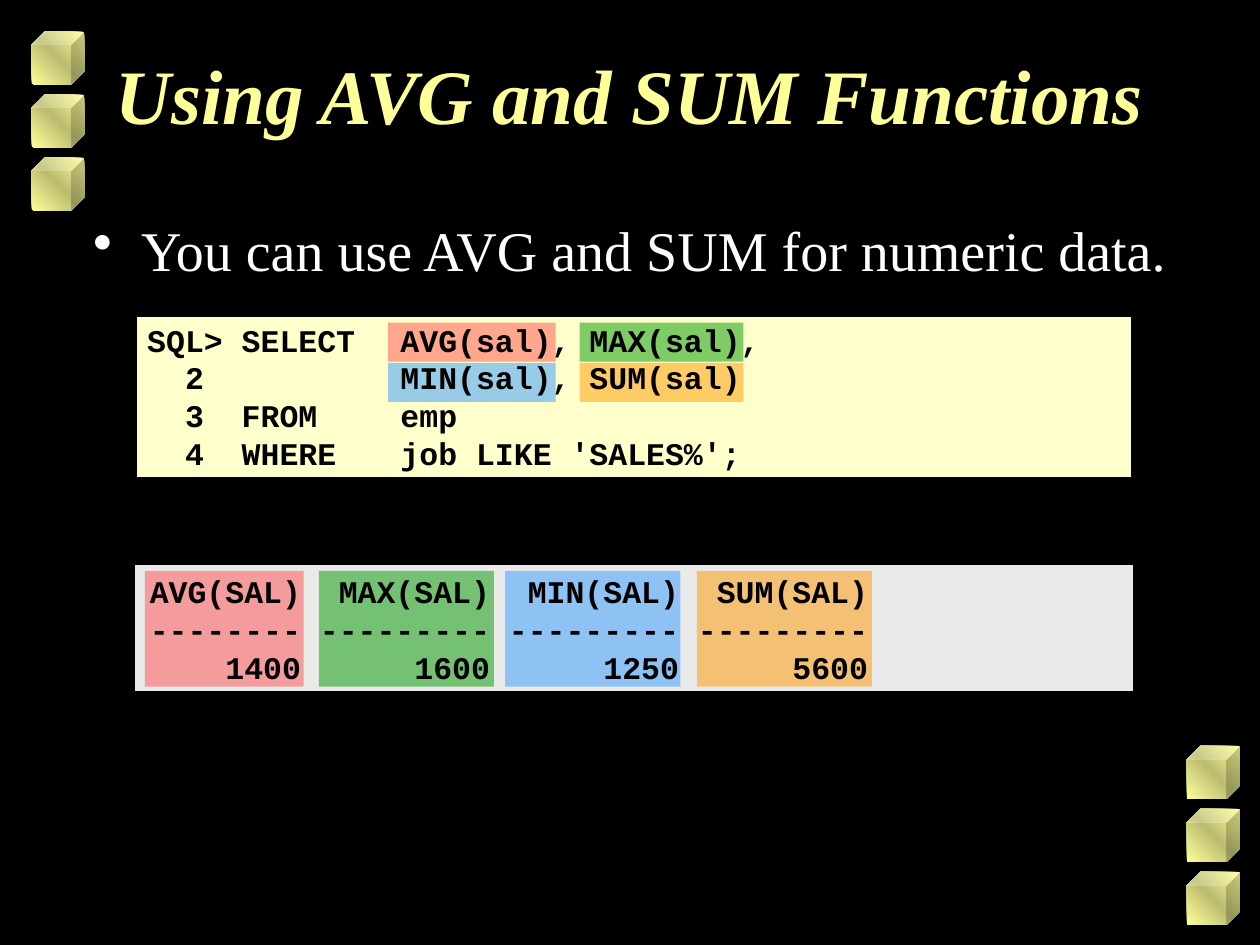
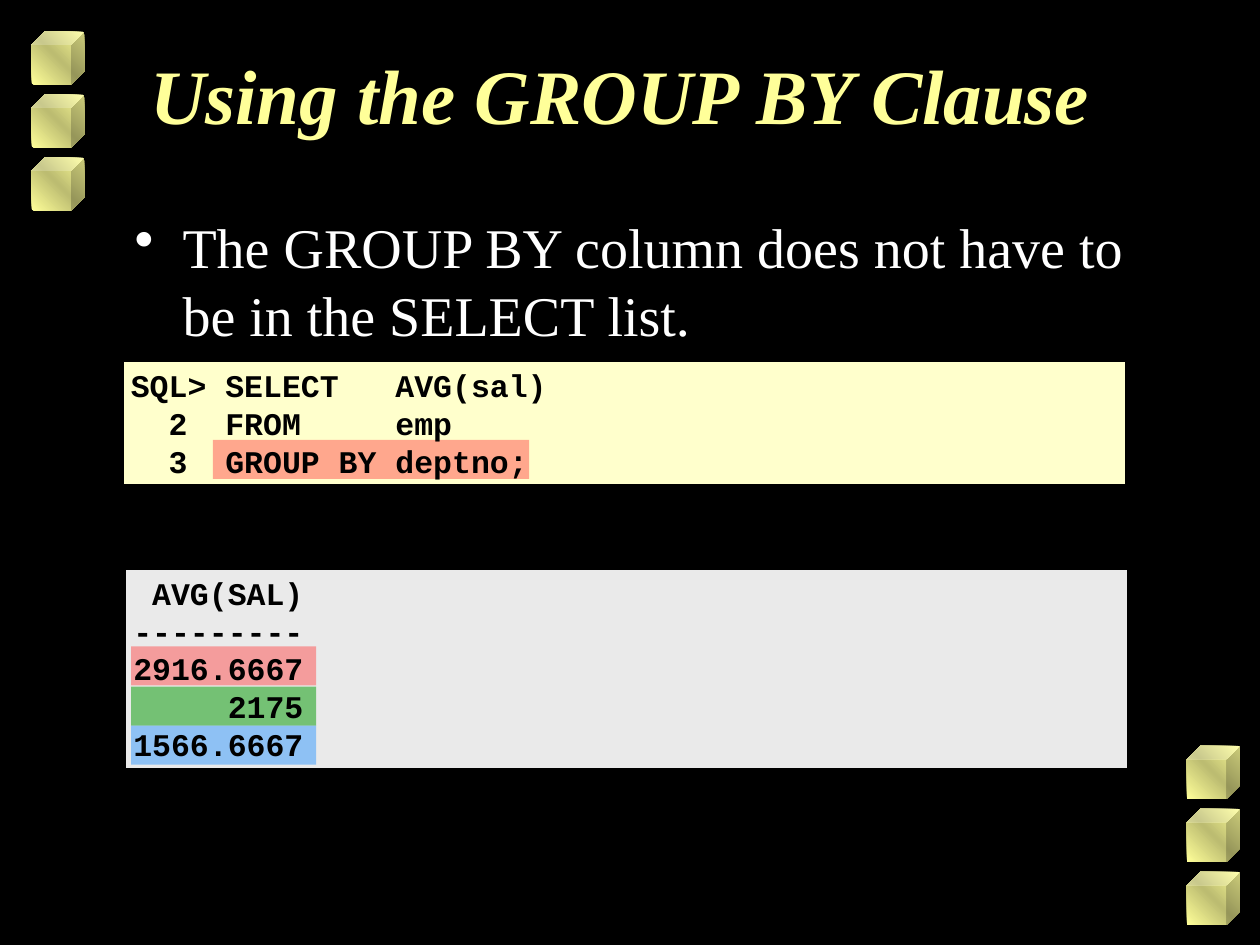
from lxml import etree
from pptx import Presentation
from pptx.dml.color import RGBColor
from pptx.enum.shapes import MSO_SHAPE as SHAPE
from pptx.enum.text import MSO_ANCHOR as ANCHOR, PP_ALIGN as ALIGN
from pptx.oxml import parse_xml
from pptx.oxml.ns import nsdecls, qn
from pptx.util import Inches, Pt

BLACK, WHITE, YELLOW, OLIVE = "000000", "FFFFFF", "FFFF99", "BCBC71"
CREAM, GREY = "FFFFCC", "EAEAEA"
RED, GREEN, BLUE, ORANGE = "FF5050", "009900", "3399FF", "FF9900"
SERIF, MONO = "Times New Roman", "Courier New"

CUBE, CUBE_STEP = 0.42, 0.5
CUBE_STACKS = [(0.25, 0.25), (9.42, 5.92)]
TITLE_BOX = (0.75, 0.33, 8.5, 1.25)
ROW_H = 0.31
RESULT_H = 0.92

SLIDES = [
    {
        "title": "Using AVG and SUM Functions",
        "bullet": "You can use AVG and SUM for numeric data.",
        "bullet_box": (0, 1.66, 10, 0.63),
        "bullet_align": ALIGN.CENTER,
        "panels": [(GREY, (1.06, 4.47, 7.95, 1.03)), (CREAM, (1.07, 2.5, 7.92, 1.3))],
        "highlights": [
            (RED, (3.08, 2.56, 1.33, ROW_H)), (RED, (1.15, 4.53, 1.26, RESULT_H)),
            (GREEN, (4.6, 2.56, 1.3, ROW_H)), (GREEN, (2.53, 4.53, 1.39, RESULT_H)),
            (BLUE, (3.08, 2.88, 1.33, ROW_H)), (BLUE, (4.01, 4.53, 1.39, RESULT_H)),
            (ORANGE, (4.6, 2.88, 1.3, ROW_H)), (ORANGE, (5.53, 4.53, 1.39, RESULT_H)),
        ],
        "listings": [
            ((1.09, 4.49, 7.92, 1), ANCHOR.TOP, [
                "AVG(SAL)  MAX(SAL)  MIN(SAL)  SUM(SAL)",
                "-------- --------- --------- ---------",
                "    1400      1600      1250      5600"]),
            ((1.07, 2.48, 7.95, 1.33), ANCHOR.MIDDLE, [
                "SQL> SELECT\tAVG(sal), MAX(sal),",
                "  2\t\tMIN(sal), SUM(sal)",
                "  3\tFROM\temp",
                "  4\tWHERE\tjob LIKE 'SALES%';"]),
        ],
    },
    {
        "title": "Using the GROUP BY Clause ",
        "bullet": "The GROUP BY column does not have to be in the SELECT list.",
        "bullet_box": (0.97, 1.64, 8.29, 1.17),
        "bullet_align": ALIGN.LEFT,
        "panels": [(CREAM, (0.97, 2.86, 7.97, 1)), (GREY, (0.99, 4.51, 7.97, 1.6))],
        "highlights": [(RED, (1.69, 3.49, 2.51, ROW_H))] + [
            (colour, (1.04, round(5.13 + 0.315 * i, 2), 1.47, ROW_H))
            for i, colour in enumerate([RED, GREEN, BLUE])],
        "listings": [
            ((0.94, 2.84, 8, 1.03), ANCHOR.MIDDLE, [
                "SQL> SELECT   AVG(sal)",
                "  2  FROM     emp",
                "  3  GROUP BY deptno;"]),
            ((0.96, 4.49, 8, 1.63), ANCHOR.MIDDLE, [
                " AVG(SAL)", "---------", "2916.6667", "     2175", "1566.6667"]),
        ],
    },
]
CODE_TABS = [0.75, 2.01]


def rgb(colour):
    return RGBColor.from_string(colour)


def add_box(slide, kind, box, colour):
    sp = slide.shapes.add_shape(kind, *map(Inches, box))
    sp.shadow.inherit = False
    sp.fill.solid()
    sp.fill.fore_color.rgb = rgb(colour)
    sp.line.fill.background()
    return sp


def add_cube(slide, left, top):
    sp = add_box(slide, SHAPE.CUBE, (left, top, CUBE, CUBE), YELLOW)
    stops = "".join(f'<a:gs pos="{pos}"><a:srgbClr val="{colour}"/></a:gs>'
                    for pos, colour in [(0, YELLOW), (50000, OLIVE), (100000, YELLOW)])
    gradient = parse_xml(f'<a:gradFill {nsdecls("a")} rotWithShape="1"><a:gsLst>{stops}</a:gsLst>'
                         '<a:lin ang="18900000" scaled="1"/></a:gradFill>')
    props = sp._element.spPr
    props.replace(props.find(qn("a:solidFill")), gradient)


def add_panel(slide, colour, box):
    sp = add_box(slide, SHAPE.RECTANGLE, box, colour)
    sp.line.color.rgb = rgb(BLACK)
    sp.line.width = Pt(2)


def add_highlight(slide, colour, box):
    sp = add_box(slide, SHAPE.RECTANGLE, box, colour)
    clr = sp._element.spPr.find(qn("a:solidFill"))[0]
    etree.SubElement(clr, qn("a:alpha")).set("val", "50000")


def add_text(slide, box, lines, font, size, colour, bold=False, italic=False,
             align=ALIGN.LEFT, anchor=ANCHOR.TOP):
    tf = slide.shapes.add_textbox(*map(Inches, box)).text_frame
    tf.word_wrap = True
    tf.vertical_anchor = anchor
    for i, line in enumerate(lines):
        p = tf.paragraphs[0] if i == 0 else tf.add_paragraph()
        p.add_run().text = line
        p.alignment = align
        p.font.name, p.font.size = font, Pt(size)
        p.font.bold, p.font.italic = bold, italic
        p.font.color.rgb = rgb(colour)
    return tf


def set_bullet(p):
    props = p._p.get_or_add_pPr()
    props.set("marL", str(Inches(0.38)))
    props.set("indent", str(Inches(-0.38)))
    bullet = etree.Element(qn("a:buChar"), char="•")
    props.find(qn("a:defRPr")).addprevious(bullet)


def set_tabs(p):
    tabs = etree.Element(qn("a:tabLst"))
    for pos in CODE_TABS:
        etree.SubElement(tabs, qn("a:tab"), pos=str(Inches(pos)), algn="l")
    p._p.get_or_add_pPr().find(qn("a:defRPr")).addprevious(tabs)


def add_slide(prs, content):
    s = prs.slides.add_slide(prs.slide_layouts[6])
    s.background.fill.solid()
    s.background.fill.fore_color.rgb = rgb(BLACK)
    for left, top in CUBE_STACKS:
        for i in range(3):
            add_cube(s, left, top + i * CUBE_STEP)
    for colour, box in content["panels"]:
        add_panel(s, colour, box)
    for colour, box in content["highlights"]:
        add_highlight(s, colour, box)
    add_text(s, TITLE_BOX, [content["title"]], SERIF, 44, YELLOW,
             bold=True, italic=True, align=ALIGN.CENTER)
    tf = add_text(s, content["bullet_box"], [content["bullet"]], SERIF, 32, WHITE,
                  align=content["bullet_align"])
    set_bullet(tf.paragraphs[0])
    for box, anchor, lines in content["listings"]:
        tf = add_text(s, box, lines, MONO, 18, BLACK, bold=True, anchor=anchor)
        for p in tf.paragraphs:
            if "\t" in p.text:
                set_tabs(p)


def main():
    prs = Presentation()
    prs.slide_width, prs.slide_height = Inches(10), Inches(7.5)
    for content in SLIDES:
        add_slide(prs, content)
    prs.save("out.pptx")


if __name__ == "__main__":
    main()
